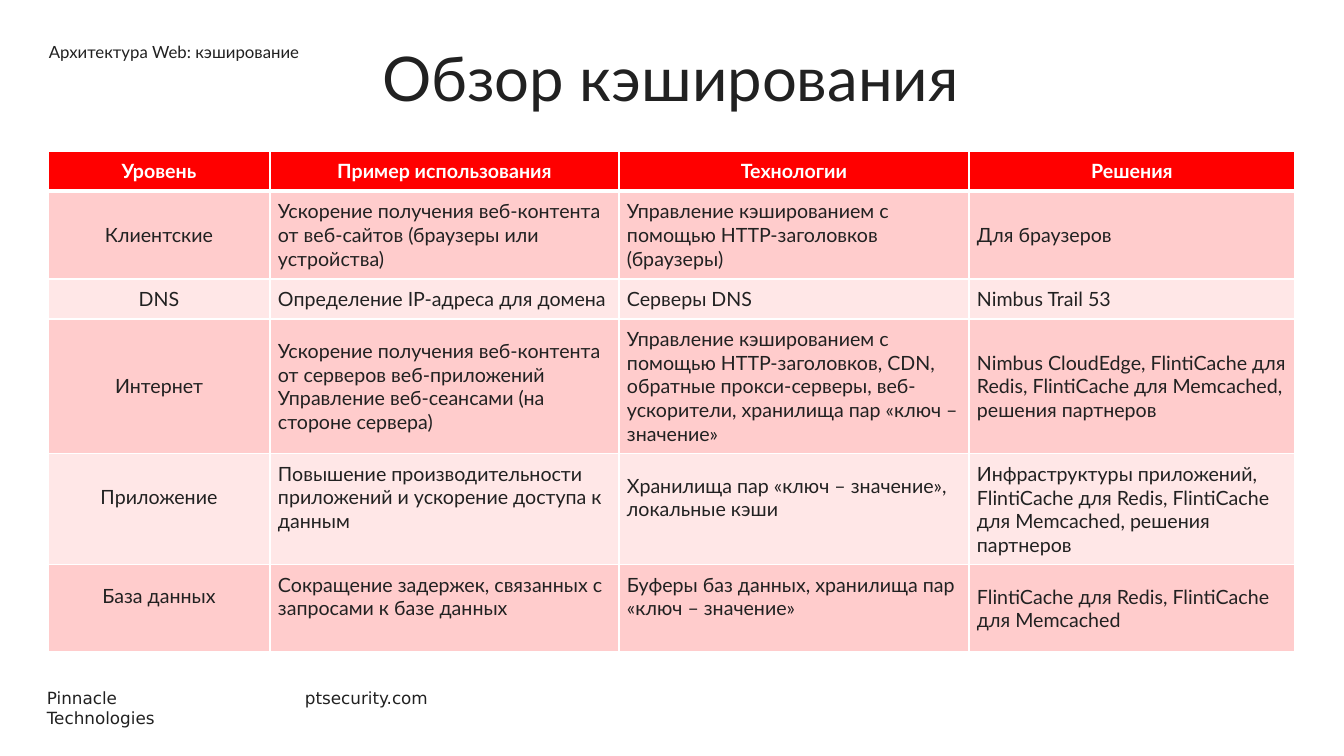
import pptx
import pptx.util
import pptx.dml.color
import pptx.enum.text
import pptx.oxml
import pptx.oxml.ns

PP_ALIGN = pptx.enum.text.PP_ALIGN
MIDDLE = pptx.enum.text.MSO_ANCHOR.MIDDLE


def px(length):
    return round(length * 914400 / 100.8)


def rgb(color):
    return pptx.dml.color.RGBColor.from_string(color)


class CachingSlide:
    """Style of the deck and the slide being filled."""
    font, ink, white = "Lato", "212121", "FFFFFF"
    header_fill, bands = "FF0000", ("FFCCCC", "FFE7E7")
    margin, line = 8, 24

    def __init__(self, prs):
        self.slide = prs.slides.add_slide(prs.slide_layouts[5])

    def set_text(self, frame, text, size, color=ink, font=font, bold=False, align=PP_ALIGN.LEFT):
        frame.text = text
        paragraph = frame.paragraphs[0]
        paragraph.alignment = align
        for run in paragraph.runs:
            run.font.name = font
            run.font.size = pptx.util.Pt(size)
            run.font.bold = bold
            run.font.color.rgb = rgb(color)

    def title(self, text, left, top, width, height):
        heading = self.slide.shapes.title
        heading.left, heading.top = px(left), px(top)
        heading.width, heading.height = px(width), px(height)
        heading.text_frame.auto_size = pptx.enum.text.MSO_AUTO_SIZE.NONE
        heading.text_frame.vertical_anchor = MIDDLE
        self.set_text(heading.text_frame, text, 44, align=PP_ALIGN.CENTER)

    def label(self, text, left, top, width, height, font=font, wrap=True):
        box = self.slide.shapes.add_textbox(px(left), px(top), px(width), px(height))
        box.text_frame.word_wrap = wrap
        self.set_text(box.text_frame, text, 12, font=font)

    def border(self, cell, side, points):
        properties = cell._tc.get_or_add_tcPr()
        edge = pptx.oxml.parse_xml(
            f'<a:{side} {pptx.oxml.ns.nsdecls("a")} w="{pptx.util.Pt(points)}">'
            f'<a:solidFill><a:srgbClr val="{self.white}"/></a:solidFill></a:{side}>')
        properties.append(edge)

    def cell(self, cell, text, row, column, raised):
        header = row == 0
        cell.margin_left = cell.margin_right = cell.margin_top = px(self.margin)
        cell.margin_bottom = px(self.margin + (self.line if raised else 0))
        cell.vertical_anchor = MIDDLE
        centred = header or column == 0
        self.set_text(cell.text_frame, text, 14, self.white if header else self.ink, bold=header,
                      align=PP_ALIGN.CENTER if centred else PP_ALIGN.LEFT)
        # Borders come before the fill in the cell properties
        for side in ("lnL", "lnR", "lnT", "lnB"):
            thick = (header and side == "lnB") or (row == 1 and side == "lnT")
            self.border(cell, side, 3 if thick else 1)
        cell.fill.solid()
        cell.fill.fore_color.rgb = rgb(self.header_fill if header else self.bands[(row - 1) % 2])

    def table(self, rows, left, top, widths, heights, raised_from):
        frame = self.slide.shapes.add_table(len(rows), len(widths), px(left), px(top),
                                            px(sum(widths)), px(sum(heights)))
        grid = frame.table
        for column, width in zip(grid.columns, widths):
            column.width = px(width)
        for r, (texts, height) in enumerate(zip(rows, heights)):
            grid.rows[r].height = px(height)
            for c, text in enumerate(texts):
                raised = r >= raised_from and c < len(widths) - 1
                self.cell(grid.cell(r, c), text, r, c, raised)


LEVELS = [
    ("Уровень", "Пример использования", "Технологии", "Решения"),
    ("Клиентские",
     "Ускорение получения веб-контента от веб-сайтов (браузеры или устройства)",
     "Управление кэшированием с помощью HTTP-заголовков (браузеры)",
     "Для браузеров"),
    ("DNS", "Определение IP-адреса для домена", "Серверы DNS", "Nimbus Trail 53"),
    ("Интернет",
     "Ускорение получения веб-контента от серверов веб-приложений "
     "Управление веб-сеансами (на стороне сервера)",
     "Управление кэшированием с помощью HTTP-заголовков, CDN, обратные прокси-серверы, "
     "веб-ускорители, хранилища пар «ключ – значение»",
     "Nimbus CloudEdge, FlintiCache для Redis, FlintiCache для Memcached, решения партнеров"),
    ("Приложение",
     "Повышение производительности приложений и ускорение доступа к данным",
     "Хранилища пар «ключ – значение», локальные кэши",
     "Инфраструктуры приложений, FlintiCache для Redis, FlintiCache для Memcached, "
     "решения партнеров"),
    ("База данных",
     "Сокращение задержек, связанных с запросами к базе данных",
     "Буферы баз данных, хранилища пар «ключ – значение»",
     "FlintiCache для Redis, FlintiCache для Memcached"),
]


def main():
    prs = pptx.Presentation()
    prs.slide_width, prs.slide_height = px(1344), px(756)
    page = CachingSlide(prs)

    # Footer
    page.label("Pinnacle Technologies", 37, 683, 200, 30, font="DejaVu Sans", wrap=False)
    page.label("ptsecurity.com", 295, 683, 145, 30, font="DejaVu Sans", wrap=False)

    # Caching levels
    page.table(LEVELS, 48, 151, widths=(222, 349, 350, 326),
               heights=(40, 88, 40, 135, 111, 87), raised_from=4)

    # Section name and title
    page.label("Архитектура Web: кэширование", 39, 37, 298, 40)
    page.title("Обзор кэширования", 48, 34, 1246, 85)

    prs.save("out.pptx")


if __name__ == "__main__":
    main()
